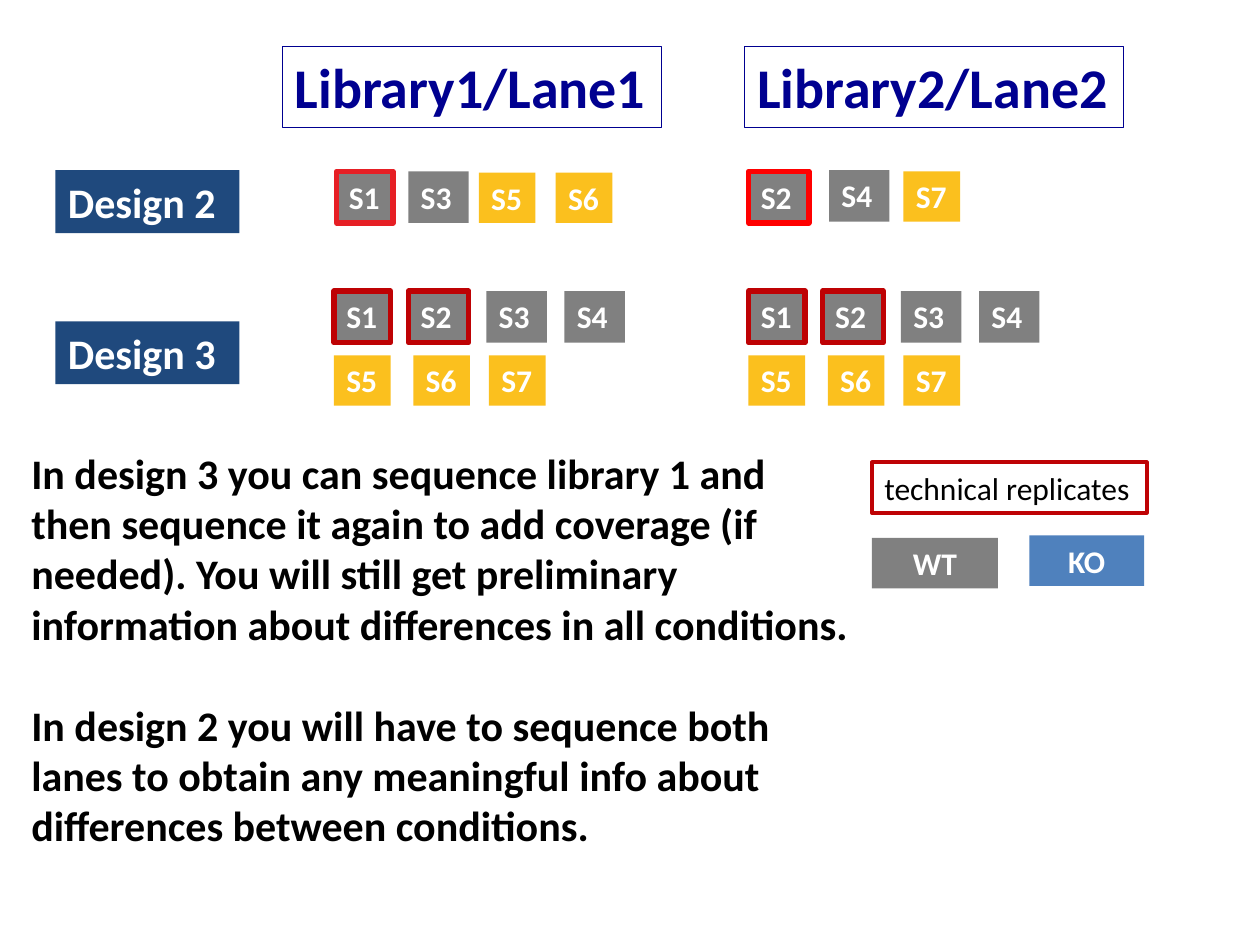
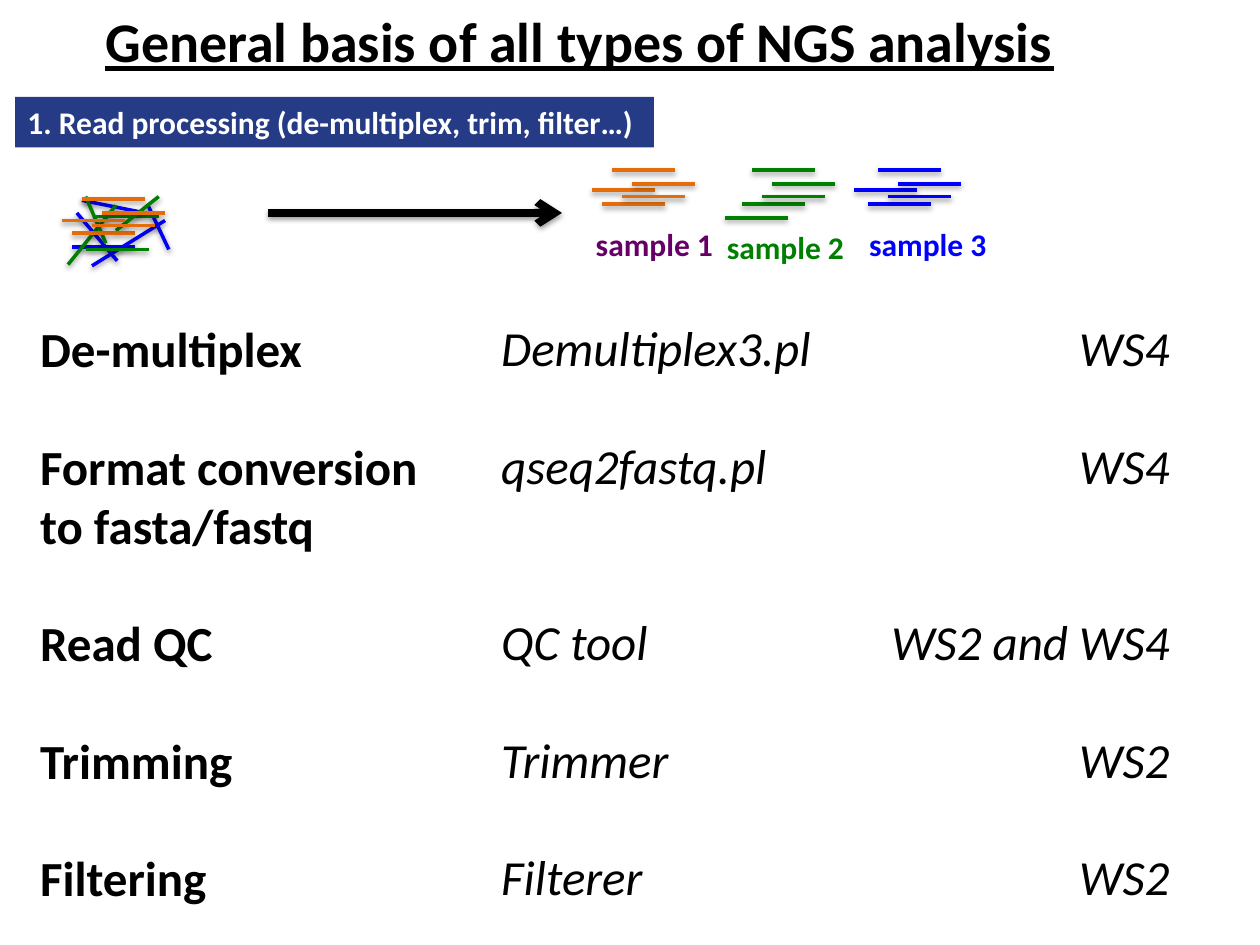
"""Build two slides on sequencing lane designs and read processing."""
from dataclasses import dataclass

from lxml import etree
from pptx import Presentation
from pptx.dml.color import RGBColor
from pptx.enum.shapes import MSO_CONNECTOR, MSO_SHAPE
from pptx.enum.text import MSO_ANCHOR, PP_ALIGN
from pptx.oxml.ns import qn
from pptx.slide import Slide
from pptx.util import Inches, Pt

RECTANGLE = MSO_SHAPE.RECTANGLE
STRAIGHT = MSO_CONNECTOR.STRAIGHT
TOP, MIDDLE = MSO_ANCHOR.TOP, MSO_ANCHOR.MIDDLE
LEFT, CENTER, RIGHT = PP_ALIGN.LEFT, PP_ALIGN.CENTER, PP_ALIGN.RIGHT

FONT = "Calibri"
LINE_SPACING = 1.2
READ_LENGTH = 0.5
COLORS = {
    "black": "000000", "white": "FFFFFF", "navy": "000090",
    "wild type": "808080", "knockout": "FBC01E", "legend knockout": "4F81BD",
    "design": "1F497D", "banner": "253B86", "replicate": "BE0204",
    "bright red": "FF0000", "soft red": "E61F25",
    "orange": "E46C0A", "green": "008000", "blue": "0000FF", "purple": "660066",
}


@dataclass(frozen=True)
class Line:
    """A paragraph and the number of empty lines above it."""
    text: str
    blank_above: int = 0


@dataclass(frozen=True)
class Label:
    """A text block with an optional fill and outline."""
    lines: tuple[Line, ...]
    left: float
    top: float
    width: float
    height: float
    size: int = 18
    color: str = "white"
    fill: str = ""
    outline: str = ""
    outline_width: float = 3
    bold: bool = True
    italic: bool = False
    underline: bool = False
    align: PP_ALIGN = LEFT
    anchor: MSO_ANCHOR = TOP


@dataclass(frozen=True)
class Sample:
    """A sample tile, placed from the left edge of its lane."""
    name: str
    offset: float
    top: float
    kind: str = "wild type"
    width: float = 0.48
    outline: str = ""


@dataclass(frozen=True)
class Bundle:
    """Five parallel reads, the first placed apart from the rest."""
    color: str
    left: float
    top: float
    first_offset: tuple[float, float]


@dataclass(frozen=True)
class Stroke:
    """A straight line with start and end points."""
    color: str
    x1: float
    y1: float
    x2: float
    y2: float
    width: float = 2
    arrow: bool = False


BUNDLE_OFFSETS = ((0, 0), (0.16, -0.06), (0.08, -0.27), (0.24, -0.16))
MIXED_READS = (
    Stroke("blue", 1.17, 1.62, 1.34, 1.98),
    Stroke("blue", 0.57, 1.96, 1.07, 1.96),
    Stroke("blue", 0.73, 2.11, 1.31, 1.75),
    Stroke("blue", 0.65, 1.59, 1.15, 1.69),
    Stroke("blue", 0.61, 1.69, 0.93, 2.07),
    Stroke("green", 0.54, 2.1, 0.92, 1.63),
    Stroke("green", 0.68, 1.98, 1.18, 1.98),
    Stroke("green", 0.84, 1.93, 0.68, 1.56),
    Stroke("green", 0.76, 1.72, 1.26, 1.72),
    Stroke("green", 0.92, 1.83, 1.26, 1.56),
)
BUNDLES = (
    Bundle("blue", 6.89, 1.62, (-0.11, -0.11)),
    Bundle("green", 5.89, 1.62, (-0.14, 0.11)),
    Bundle("orange", 4.78, 1.62, (-0.08, -0.11)),
    Bundle("orange", 0.57, 1.85, (-0.08, -0.1)),
)

LANE_LEFTS = (2.65, 5.94)
DESIGN_2 = (
    (Sample("S1", 0.02, 1.36, width=0.45, outline="soft red"),
     Sample("S3", 0.59, 1.36),
     Sample("S5", 1.15, 1.37, "knockout", 0.45),
     Sample("S6", 1.76, 1.37, "knockout", 0.45)),
    (Sample("S2", 0, 1.36, outline="bright red"),
     Sample("S4", 0.64, 1.35),
     Sample("S7", 1.23, 1.36, "knockout", 0.45)),
)
DESIGN_3 = (
    Sample("S1", 0, 2.31, width=0.45, outline="replicate"),
    Sample("S2", 0.59, 2.31, outline="replicate"),
    Sample("S3", 1.21, 2.31),
    Sample("S4", 1.83, 2.31),
    Sample("S5", 0, 2.82, "knockout", 0.45),
    Sample("S6", 0.63, 2.82, "knockout", 0.45),
    Sample("S7", 1.23, 2.82, "knockout", 0.45),
)


def rgb(name: str) -> RGBColor:
    """Look up a palette colour."""
    return RGBColor.from_string(COLORS[name])


def single(text: str) -> tuple[Line, ...]:
    """Wrap one paragraph of text."""
    return (Line(text),)


def draw_label(page: Slide, label: Label) -> None:
    """Draw a text box, or a rectangle when it has fill or outline."""
    area = [Inches(v) for v in (label.left, label.top, label.width, label.height)]
    if label.fill or label.outline:
        box = page.shapes.add_shape(RECTANGLE, *area)
        box.shadow.inherit = False
    else:
        box = page.shapes.add_textbox(*area)
    if label.fill:
        box.fill.solid()
        box.fill.fore_color.rgb = rgb(label.fill)
    else:
        box.fill.background()
    if label.outline:
        box.line.color.rgb = rgb(label.outline)
        box.line.width = Pt(label.outline_width)
    else:
        box.line.fill.background()
    frame = box.text_frame
    frame.word_wrap = True
    frame.vertical_anchor = label.anchor
    if label.align == LEFT:
        frame.margin_right = 0
    for index, line in enumerate(label.lines):
        para = frame.add_paragraph() if index else frame.paragraphs[0]
        para.alignment = label.align
        para.space_before = Pt(line.blank_above * label.size * LINE_SPACING)
        span = para.add_run()
        span.text = line.text
        span.font.name = FONT
        span.font.size = Pt(label.size)
        span.font.bold = label.bold
        span.font.italic = label.italic
        span.font.underline = label.underline
        span.font.color.rgb = rgb(label.color)


def draw_stroke(page: Slide, stroke: Stroke) -> None:
    """Draw a line with a soft shadow and an optional arrowhead."""
    ends = [Inches(v) for v in (stroke.x1, stroke.y1, stroke.x2, stroke.y2)]
    connector = page.shapes.add_connector(STRAIGHT, *ends)
    connector.line.color.rgb = rgb(stroke.color)
    connector.line.width = Pt(stroke.width)
    properties = connector.line._get_or_add_ln().getparent()
    if stroke.arrow:
        etree.SubElement(properties.find(qn("a:ln")), qn("a:tailEnd"), type="arrow")
    effects = etree.SubElement(properties, qn("a:effectLst"))
    shadow = etree.SubElement(effects, qn("a:outerShdw"), blurRad="40000",
                              dist="20000", dir="5400000", rotWithShape="0")
    tint = etree.SubElement(shadow, qn("a:srgbClr"), val=COLORS["black"])
    etree.SubElement(tint, qn("a:alpha"), val="38000")


def draw_bundle(page: Slide, bundle: Bundle) -> None:
    """Draw the reads of one bundle."""
    for across, down in (bundle.first_offset, *BUNDLE_OFFSETS):
        x, y = bundle.left + across, bundle.top + down
        draw_stroke(page, Stroke(bundle.color, x, y, x + READ_LENGTH, y))


def draw_sample(page: Slide, sample: Sample, lane_left: float) -> None:
    """Draw a sample tile in its lane."""
    height = 0.41 if sample.kind == "wild type" else 0.4
    draw_label(page, Label(single(sample.name), lane_left + sample.offset, sample.top,
                           sample.width, height, fill=sample.kind,
                           outline=sample.outline))


def build_designs(page: Slide) -> None:
    """Compare how designs 2 and 3 spread samples over lanes."""
    notes = (
        Line("In design 3 you can sequence library 1 and then sequence it again to add "
             "coverage (if needed). You will still get preliminary information about "
             "differences in all conditions."),
        Line("In design 2 you will have to sequence both lanes to obtain any meaningful "
             "info about differences between conditions.", 1),
    )
    labels = [
        Label(single("technical replicates"), 6.92, 3.67, 2.18, 0.4, color="black",
              outline="replicate", outline_width=2.25, bold=False),
        Label(single("WT"), 6.92, 4.27, 1, 0.4, fill="wild type", align=CENTER),
        Label(single("KO"), 8.17, 4.25, 0.91, 0.4, fill="legend knockout", align=CENTER),
        Label(notes, 0.15, 3.5, 6.59, 3.33, 24, "black"),
    ]
    for number, left in enumerate((2.24, 5.91), 1):
        labels.append(Label(single(f"Library{number}/Lane{number}"), left, 0.37, 3.01,
                            0.64, 32, "navy", outline="navy", outline_width=0.75))
    for number, top in ((2, 1.35), (3, 2.55)):
        labels.append(Label(single(f"Design {number}"), 0.44, top, 1.46, 0.5, 24,
                            fill="design"))
    for label in labels:
        draw_label(page, label)
    for lane_left, lane_samples in zip(LANE_LEFTS, DESIGN_2):
        for sample in lane_samples + DESIGN_3:
            draw_sample(page, sample, lane_left)


def build_processing(page: Slide) -> None:
    """Show read processing steps with their tools and workshops."""
    draw_label(page, Label(single("General basis of all types of NGS analysis"), -0.02, 0,
                           9.24, 0.64, 32, "black", underline=True, align=CENTER,
                           anchor=MIDDLE))
    for stroke in MIXED_READS:
        draw_stroke(page, stroke)
    for bundle in BUNDLES:
        draw_bundle(page, bundle)
    draw_stroke(page, Stroke("black", 2.13, 1.69, 4.46, 1.69, 4.5, True))
    samples = ((4.63, 1.74, "purple"), (5.67, 1.76, "green"), (6.8, 1.74, "blue"))
    for number, (left, top, color) in enumerate(samples, 1):
        draw_label(page, Label(single(f"sample {number}"), left, top, 1.14, 0.4,
                               color=color))
    draw_label(page, Label(single("1. Read processing (de-multiplex, trim, filter…)"),
                           0.12, 0.77, 5.07, 0.4, fill="banner"))
    steps = (Line("De-multiplex"), Line("Format conversion", 1), Line("to fasta/fastq"),
             Line("Read QC", 1), Line("Trimming", 1), Line("Filtering", 1))
    tools = ("Demultiplex3.pl", "qseq2fastq.pl", "QC tool", "Trimmer", "Filterer")
    workshops = ("WS4", "WS4", "WS2 and WS4", "WS2", "WS2")
    gaps = (0, 1, 2, 1, 1)
    draw_label(page, Label(steps, 0.22, 2.48, 3.26, 4.81, 28, "black"))
    for texts, left, width, align in ((tools, 3.88, 2.8, LEFT),
                                      (workshops, 6.68, 2.7, RIGHT)):
        draw_label(page, Label(tuple(map(Line, texts, gaps)), left, 2.47, width, 4.81, 28,
                               "black", bold=False, italic=True, align=align))


def main() -> None:
    """Create and save the deck."""
    deck = Presentation()
    deck.slide_width, deck.slide_height = Inches(10), Inches(7.5)
    for build in (build_designs, build_processing):
        build(deck.slides.add_slide(deck.slide_layouts[6]))
    deck.save("out.pptx")


if __name__ == "__main__":
    main()
